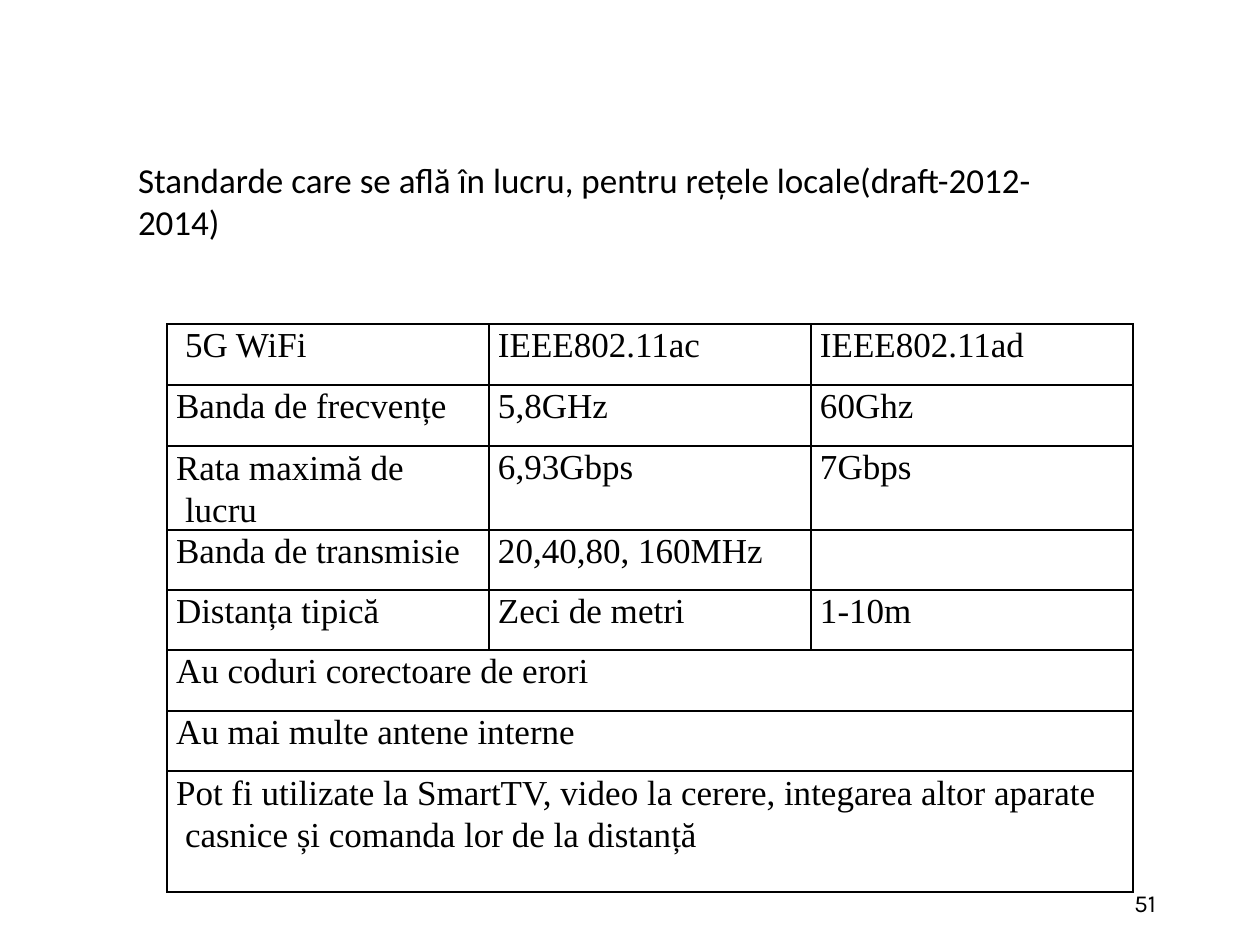
"""Build the slide on draft standards for local networks."""
import pptx
import pptx.dml.color
import pptx.enum.text
import pptx.oxml.ns
import pptx.util
from lxml import etree

BLACK = pptx.dml.color.RGBColor(0, 0, 0)
PX = 914400 / 126

TITLE = "Standarde care se află în lucru, pentru rețele locale(draft-2012-2014)"
PAGE = "51"
ROWS = [
    (61, ["5G WiFi", "IEEE802.11ac", "IEEE802.11ad"]),
    (61, ["Banda de frecvențe", "5,8GHz", "60Ghz"]),
    (84, ["Rata maximă de lucru", "6,93Gbps", "7Gbps"]),
    (60, ["Banda de transmisie", "20,40,80, 160MHz", ""]),
    (60, ["Distanța tipică", "Zeci de metri", "1-10m"]),
    (61, ["Au coduri corectoare de erori"]),
    (60, ["Au mai multe antene interne"]),
    (121, ["Pot fi utilizate la SmartTV, video la cerere, integarea altor "
           "aparate casnice și comanda lor de la distanță"]),
]
WRAPPED_ROWS = (2, 7)
COLS, COL_W = 3, 322
TABLE_X, TABLE_Y = 167, 324


def px(n):
    return pptx.util.Emu(round(n * PX))


def write(tf, text, size=20, font="Times New Roman", left=0, hang=0, leading=None):
    tf.word_wrap = True
    p = tf.paragraphs[0]
    p.alignment = pptx.enum.text.PP_ALIGN.LEFT
    p.line_spacing = pptx.util.Pt(leading) if leading else 1.0
    pPr = p._p.get_or_add_pPr()
    pPr.set("marL", str(px(left + hang)))
    pPr.set("indent", str(-px(hang)))
    if text:
        r = p.add_run()
        r.text = text
        r.font.size = pptx.util.Pt(size)
        r.font.name = font
        r.font.color.rgb = BLACK


def place(sp, x, y, w, h):
    sp.left, sp.top, sp.width, sp.height = map(px, (x, y, w, h))
    tf = sp.text_frame
    tf.margin_left = tf.margin_right = tf.margin_bottom = 0
    tf.margin_top = px(3)
    tf.vertical_anchor = pptx.enum.text.MSO_ANCHOR.TOP
    tf.auto_size = pptx.enum.text.MSO_AUTO_SIZE.NONE
    return tf


def add_borders(cell):
    tcPr = cell._tc.get_or_add_tcPr()
    for i, side in enumerate(("lnL", "lnR", "lnT", "lnB")):
        ln = etree.Element(pptx.oxml.ns.qn("a:" + side), w=str(pptx.util.Pt(1)))
        fill = etree.SubElement(ln, pptx.oxml.ns.qn("a:solidFill"))
        etree.SubElement(fill, pptx.oxml.ns.qn("a:srgbClr"), val=str(BLACK))
        tcPr.insert(i, ln)


def add_standards_table(s):
    height = sum(h for h, _ in ROWS)
    frame = s.shapes.add_table(len(ROWS), COLS, px(TABLE_X), px(TABLE_Y),
                               px(COLS * COL_W), px(height))
    table = frame.table
    table.first_row = table.horz_banding = False
    for col in table.columns:
        col.width = px(COL_W)
    for i, (h, texts) in enumerate(ROWS):
        table.rows[i].height = px(h)
        for j in range(COLS):
            cell = table.cell(i, j)
            cell.margin_left = cell.margin_top = cell.margin_bottom = 0
            cell.margin_right = px(10 if i in WRAPPED_ROWS else 0)
            cell.fill.background()
            add_borders(cell)
        if len(texts) == 1:
            table.cell(i, 0).merge(table.cell(i, COLS - 1))
        for j, text in enumerate(texts):
            wrapped = i in WRAPPED_ROWS and j == 0
            write(table.cell(i, j).text_frame, text,
                  left=18 if i == j == 0 else 9,
                  hang=9 if wrapped else 0, leading=24 if wrapped else 23.4)


def main():
    prs = pptx.Presentation()
    prs.slide_width, prs.slide_height = px(1260), px(945)
    s = prs.slides.add_slide(prs.slide_layouts[5])
    write(place(s.shapes.title, 137, 155, 968, 45), TITLE, font="Calibri", left=1)
    add_standards_table(s)
    number = s.shapes.add_textbox(0, 0, 0, 0)
    write(place(number, 1133, 885, 30, 33), PAGE, size=14, font="Karla", left=1)
    prs.save("out.pptx")


if __name__ == "__main__":
    main()
